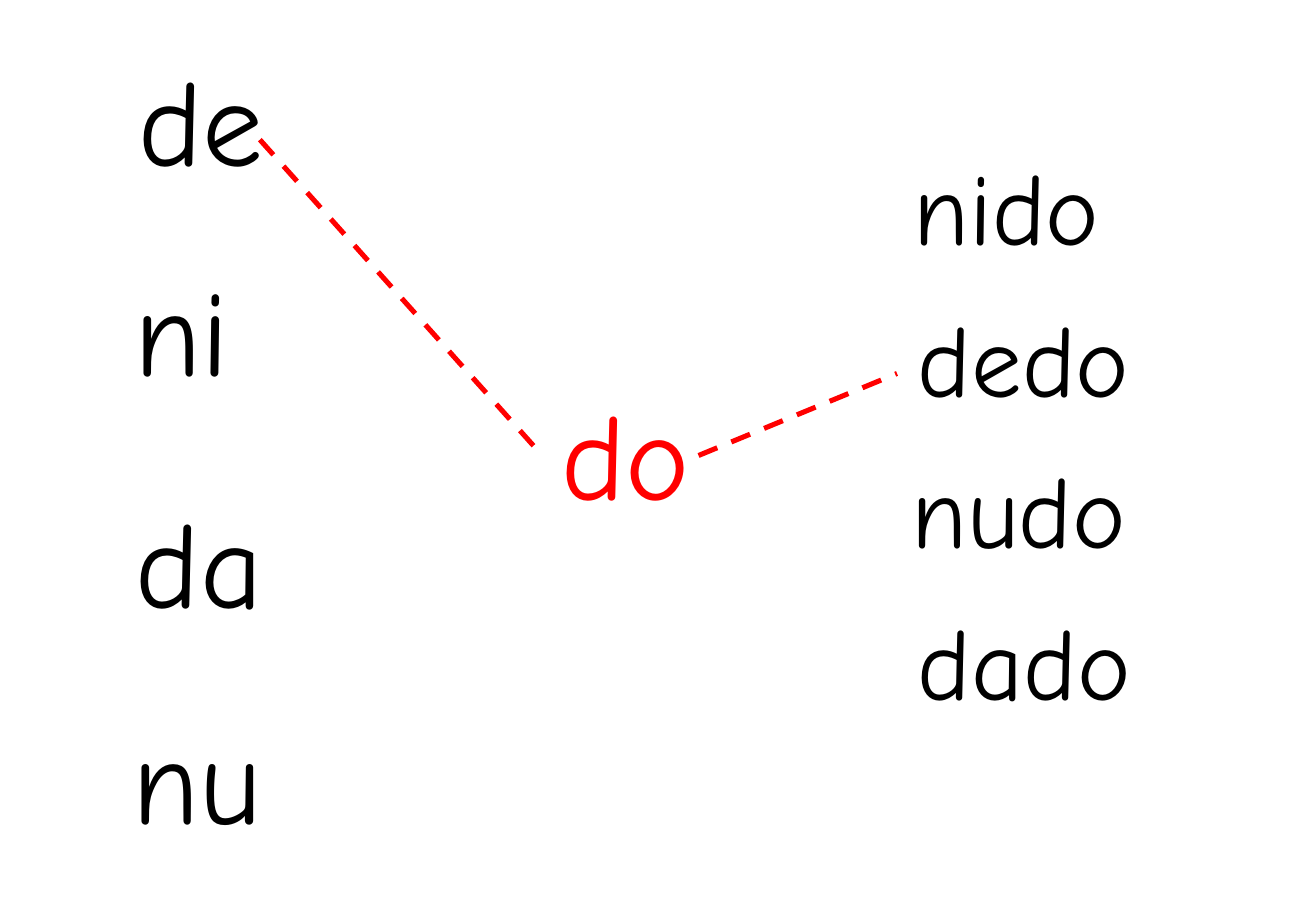
from dataclasses import dataclass

from lxml import etree
from pptx import Presentation
from pptx.dml.color import RGBColor
from pptx.enum.dml import MSO_LINE
from pptx.enum.shapes import MSO_CONNECTOR
from pptx.enum.text import MSO_ANCHOR, MSO_AUTO_SIZE, PP_ALIGN
from pptx.oxml.ns import qn
from pptx.util import Inches, Pt

STRAIGHT = MSO_CONNECTOR.STRAIGHT
DASH = MSO_LINE.DASH
TOP = MSO_ANCHOR.TOP
LEFT = PP_ALIGN.LEFT
FIT_SHAPE = MSO_AUTO_SIZE.SHAPE_TO_FIT_TEXT

# The slide is a grid of 12 columns and 6 rows
SLIDE_WIDTH = Inches(10.84)
SLIDE_HEIGHT = Inches(7.5)
COLUMN = SLIDE_WIDTH / 12
ROW = SLIDE_HEIGHT / 6


@dataclass(frozen=True)
class Theme:
    font: str = "Comic Neue"
    ink: RGBColor = RGBColor(0x00, 0x00, 0x00)
    accent: RGBColor = RGBColor(0xFF, 0x00, 0x00)
    syllable_size: int = 72
    word_size: int = 60
    link_width: int = 3


THEME = Theme()

# Text, left column, top row, width in columns
FIRST_SYLLABLES = [
    ("de", 1.15, 0.26, 1.38),
    ("ni", 1.12, 1.64, 1.12),
    ("da", 1.13, 3.17, 1.41),
    ("nu", 1.1, 4.59, 1.43),
]
LAST_SYLLABLE = ("do", 5.01, 2.46, 1.4)

# Text, left column, width in columns; the words are one row apart
WORDS = [
    ("nido", 8.22, 1.94),
    ("dedo", 8.26, 2.16),
    ("nudo", 8.2, 2.19),
    ("dado", 8.26, 2.18),
]
FIRST_WORD_ROW = 0.91

# Start and end of each link, as (column, row)
LINKS = [
    ((2.37, 0.92), (4.87, 2.94)),
    ((6.37, 3), (8.18, 2.46)),
]


def grid_point(column, row):
    return round(column * COLUMN), round(row * ROW)


def add_label(slide, text, column, row, columns, size, color):
    left, top = grid_point(column, row)
    # Line height of the font plus the frame's margins
    height = Pt(size * 1.2) + Inches(0.1)
    label = slide.shapes.add_textbox(left, top, round(columns * COLUMN), height)
    frame = label.text_frame
    frame.word_wrap = False
    frame.auto_size = FIT_SHAPE
    frame.vertical_anchor = TOP
    paragraph = frame.paragraphs[0]
    paragraph.text = text
    paragraph.alignment = LEFT
    paragraph.font.name = THEME.font
    paragraph.font.size = Pt(size)
    paragraph.font.color.rgb = color


def add_syllable(slide, syllable, color):
    add_label(slide, *syllable, THEME.syllable_size, color)


def add_link(slide, start, end):
    link = slide.shapes.add_connector(STRAIGHT, *grid_point(*start), *grid_point(*end))
    link.line.color.rgb = THEME.accent
    link.line.width = Pt(THEME.link_width)
    link.line.dash_style = DASH
    etree.SubElement(link._element.spPr, qn("a:effectLst"))


def main():
    presentation = Presentation()
    presentation.slide_width = SLIDE_WIDTH
    presentation.slide_height = SLIDE_HEIGHT
    slide = presentation.slides.add_slide(presentation.slide_layouts[6])

    # Syllables to join
    for syllable in FIRST_SYLLABLES:
        add_syllable(slide, syllable, THEME.ink)
    add_syllable(slide, LAST_SYLLABLE, THEME.accent)

    # Resulting words
    for index, (word, column, columns) in enumerate(WORDS):
        add_label(slide, word, column, FIRST_WORD_ROW + index, columns,
                  THEME.word_size, THEME.ink)

    # Worked example: de + do = dedo
    for start, end in LINKS:
        add_link(slide, start, end)

    presentation.save("out.pptx")


if __name__ == "__main__":
    main()
